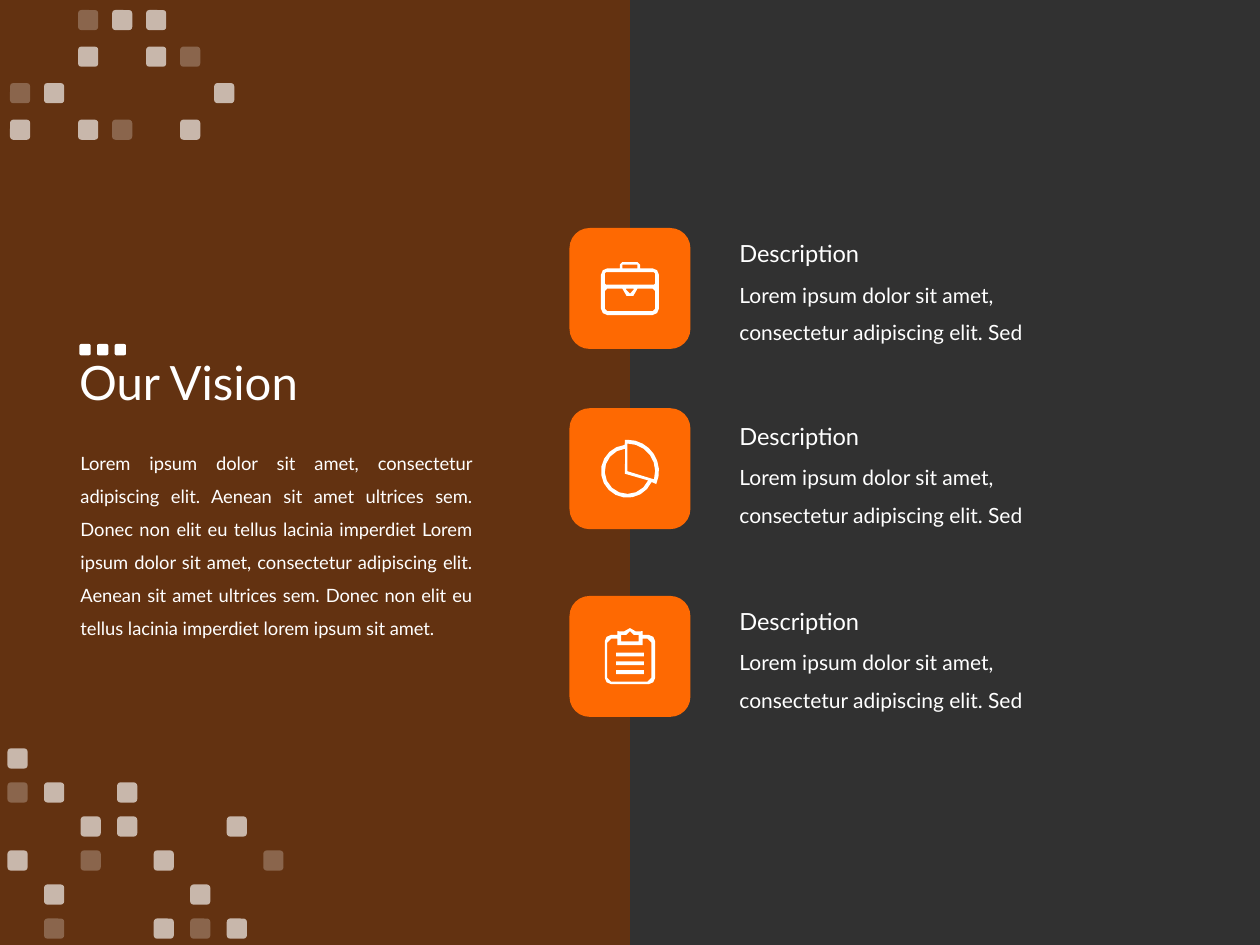
"""Build the "Our Vision" slide with three described icon tiles."""
from math import ceil, cos, radians, sin

from lxml import etree
from pptx import Presentation
from pptx.dml.color import RGBColor
from pptx.enum.shapes import MSO_SHAPE
from pptx.enum.text import MSO_ANCHOR, PP_ALIGN
from pptx.oxml.ns import qn
from pptx.util import Inches, Pt

RECTANGLE = MSO_SHAPE.RECTANGLE
ROUNDED = MSO_SHAPE.ROUNDED_RECTANGLE
TOP, MIDDLE = MSO_ANCHOR.TOP, MSO_ANCHOR.MIDDLE
LEFT, JUSTIFY = PP_ALIGN.LEFT, PP_ALIGN.JUSTIFY

CHARCOAL = RGBColor(0x31, 0x31, 0x31)
BROWN = RGBColor(0x7F, 0x34, 0x01)
ORANGE = RGBColor(0xFE, 0x69, 0x02)
WHITE = RGBColor(0xFF, 0xFF, 0xFF)

FONT = "Lato"
WIDTH, HEIGHT = 10, 7.5
TILE = 0.96
TEXT_LEFT = 5.77
ICON_UNIT = Inches(0.01)

TITLE = "Our Vision"
BODY = (
    "Lorem ipsum dolor sit amet, consectetur adipiscing elit. Aenean sit amet "
    "ultrices sem. Donec non elit eu tellus lacinia imperdiet Lorem ipsum dolor "
    "sit amet, consectetur adipiscing elit. Aenean sit amet ultrices sem. Donec "
    "non elit eu tellus lacinia imperdiet lorem ipsum sit amet."
)
LABEL = "Description"
DETAIL = "Lorem ipsum dolor sit amet, consectetur adipiscing elit. Sed"

OPACITY = {"@": 100, "#": 65, "o": 25}
MOSAICS = [
    {"origin": (0.63, 2.73), "pitch": (0.14, 0.14), "size": 0.09, "rows": ["@@@"]},
    {"origin": (0.06, 5.94), "pitch": (0.29, 0.27), "size": 0.16,
     "rows": ["#", "o#.#", "..##..#", "#.o.#..o", ".#...#", ".o..#o#"]},
    {"origin": (0.08, 0.08), "pitch": (0.27, 0.29), "size": 0.16,
     "rows": ["..o##", "..#.#o", "o#....#", "#.#o.#"]},
]


def arc(x, y, radius, start, end):
    """Return points along a circular arc, with angles in degrees."""
    steps = ceil(radius * abs(end - start) / 400)
    angles = [radians(start + (end - start) * step / steps) for step in range(steps + 1)]
    return [(x + radius * cos(angle), y + radius * sin(angle)) for angle in angles]


def rounded(left, top, right, bottom, radius, top_edge=()):
    """Return a rounded box whose top edge runs through the given points."""
    return [
        *arc(left + radius, top + radius, radius, 180, 270),
        *top_edge,
        *arc(right - radius, top + radius, radius, 270, 360),
        *arc(right - radius, bottom - radius, radius, 0, 90),
        *arc(left + radius, bottom - radius, radius, 90, 180),
    ]


def box(left, top, right, bottom):
    return [(left, top), (right, top), (right, bottom), (left, bottom)]


BRIEFCASE = [
    rounded(-23, -16, 23, 21, 5, [(-8, -16), (-8, -19), (-6, -21),
                                  (6, -21), (8, -19), (8, -16)]),
    box(-6, -19, 6, -16),
    rounded(-20, -13, 20, -3, 1),
    rounded(-20, 0, 20, 18, 2, [(-6, 0), *arc(0, 1, 5.5, 180, 0), (6, 0)]),
    [(-3, 0), *arc(0, 1, 3, 180, 0), (3, 0)],
]
PIE = [
    [*arc(-2, 2, 25, -90, 24), *arc(-2, 2, 21, 24, 264), (-4, -23)],
    [*arc(-2, 2, 18, 24, 264), (-4, 4)],
    [(-2, 2), *arc(-2, 2, 22, -90, 17)],
]
CLIPBOARD = [
    rounded(-20, -17, 20, 22, 5, [(-10, -17), (-10, -20), *arc(0, -17, 5.5, 210, 330),
                                  (10, -20), (10, -17)]),
    rounded(-18, -14, 17, 20, 3, [(-10, -14), (-10, -9), (10, -9), (10, -14)]),
    [(-7, -17), *arc(0, -17, 3, 180, 360), (7, -17), (7, -12), (-7, -12)],
    *[box(-11, top, 11, top + 3) for top in (-3, 4, 11)],
]

ITEMS = [
    {"tile_top": 1.81, "label_top": 1.85, "icon": BRIEFCASE},
    {"tile_top": 3.24, "label_top": 3.30, "icon": PIE},
    {"tile_top": 4.73, "label_top": 4.77, "icon": CLIPBOARD},
]


def paint(shape, color, opacity=100):
    shape.shadow.inherit = False
    shape.line.fill.background()
    shape.fill.solid()
    shape.fill.fore_color.rgb = color
    if opacity < 100:
        color_element = shape.fill._xPr.find(f"{qn('a:solidFill')}/{qn('a:srgbClr')}")
        etree.SubElement(color_element, qn("a:alpha"), val=str(opacity * 1000))


def add_block(slide, kind, left, top, width, height, color, opacity=100):
    shape = slide.shapes.add_shape(
        kind, Inches(left), Inches(top), Inches(width), Inches(height))
    paint(shape, color, opacity)


def add_text(slide, text, frame, size, spacing=1.0, align=LEFT, anchor=TOP):
    text_frame = slide.shapes.add_textbox(*map(Inches, frame)).text_frame
    text_frame.word_wrap = True
    text_frame.vertical_anchor = anchor
    text_frame.text = text
    paragraph = text_frame.paragraphs[0]
    paragraph.alignment = align
    paragraph.line_spacing = spacing
    font = paragraph.runs[0].font
    font.name, font.size = FONT, Pt(size)
    font.color.rgb = WHITE


def add_mosaic(slide, origin, pitch, size, rows):
    for row, marks in enumerate(rows):
        for column, mark in enumerate(marks):
            if mark in OPACITY:
                add_block(slide, ROUNDED, origin[0] + column * pitch[0],
                          origin[1] + row * pitch[1], size, size, WHITE, OPACITY[mark])


def add_icon(slide, contours, center_x, center_y):
    first, *others = contours
    builder = slide.shapes.build_freeform(*first[0], scale=ICON_UNIT / 100)
    builder = slide.shapes.build_freeform(
        *[round(value * 100) for value in first[0]], scale=ICON_UNIT / 100)
    for contour in contours:
        points = [(round(x * 100), round(y * 100)) for x, y in contour]
        if contour in others:
            builder.move_to(*points[0])
        builder.add_line_segments(points[1:], close=True)
    paint(builder.convert_to_shape(Inches(center_x), Inches(center_y)), WHITE)


def main():
    presentation = Presentation()
    presentation.slide_width, presentation.slide_height = Inches(WIDTH), Inches(HEIGHT)
    slide = presentation.slides.add_slide(presentation.slide_layouts[6])
    slide.background.fill.solid()
    slide.background.fill.fore_color.rgb = CHARCOAL

    add_block(slide, RECTANGLE, 0, 0, WIDTH / 2, HEIGHT, BROWN, 65)
    add_text(slide, TITLE, (0.53, 2.22, 8.62, 1.67), 27, 0.9, anchor=MIDDLE)
    add_text(slide, BODY, (0.54, 3.45, 3.31, 1.66), 10.5, 1.5, JUSTIFY)

    for item in ITEMS:
        tile_top, label_top = item["tile_top"], item["label_top"]
        add_block(slide, ROUNDED, (WIDTH - TILE) / 2, tile_top, TILE, TILE, ORANGE)
        add_text(slide, DETAIL, (TEXT_LEFT, label_top + 0.24, 2.98, 0.67), 12, 1.5)
        add_text(slide, LABEL, (TEXT_LEFT, label_top, 1.76, 0.33), 13.5)
        add_icon(slide, item["icon"], WIDTH / 2, tile_top + TILE / 2)

    for mosaic in MOSAICS:
        add_mosaic(slide, **mosaic)

    presentation.save("out.pptx")


if __name__ == "__main__":
    main()
